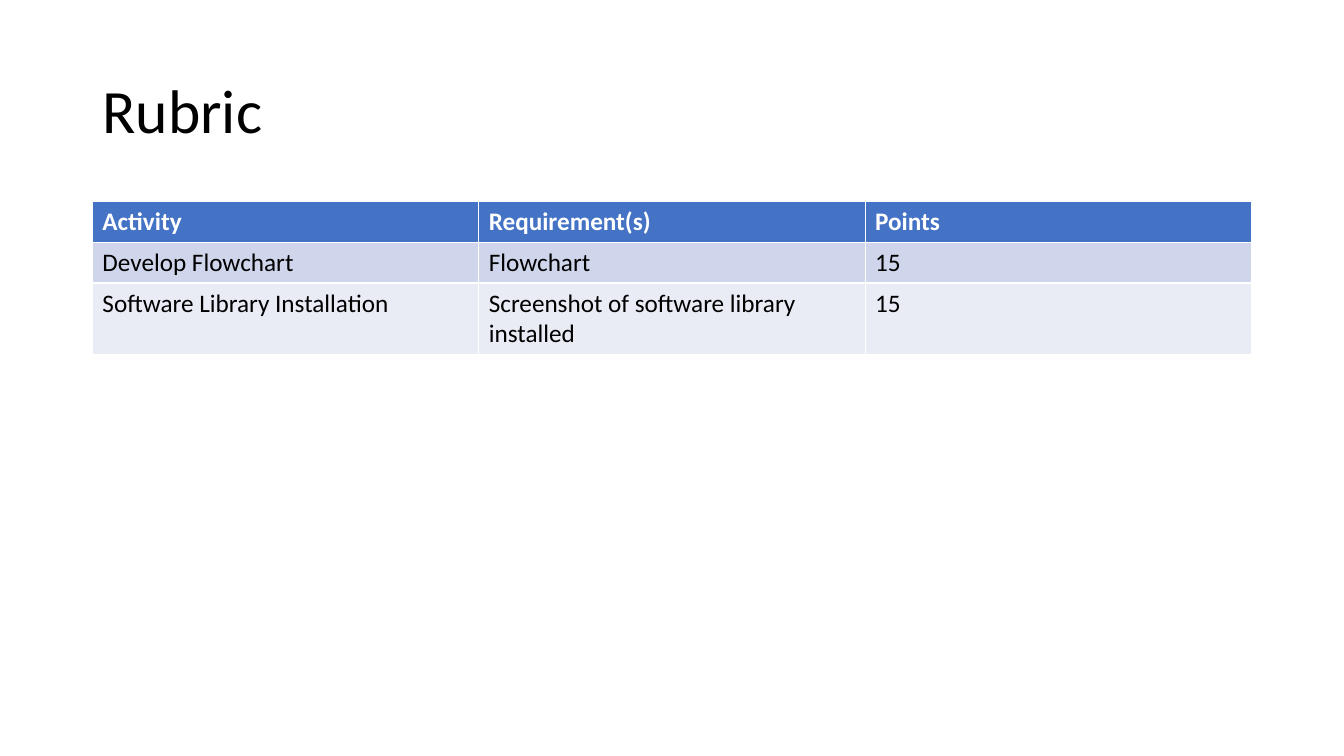
from pptx import Presentation
from pptx.dml.color import RGBColor
from pptx.enum.text import MSO_ANCHOR, MSO_AUTO_SIZE, PP_ALIGN
from pptx.util import Pt

LEFT = PP_ALIGN.LEFT
MIDDLE = MSO_ANCHOR.MIDDLE
NO_FIT = MSO_AUTO_SIZE.NONE
WHITE = RGBColor(0xFF, 0xFF, 0xFF)
BLACK = RGBColor(0x00, 0x00, 0x00)
BLUE = RGBColor(0x44, 0x72, 0xC4)
BANDS = [RGBColor(0xE9, 0xEB, 0xF5), RGBColor(0xCF, 0xD5, 0xEA)]
ROWS = [
    ("Activity", "Requirement(s)", "Points"),
    ("Develop Flowchart", "Flowchart", "15"),
    ("Software Library Installation", "Screenshot of software library installed", "15"),
]


def add_run(para, text, size, color, bold=False):
    run = para.add_run()
    run.text = text
    run.font.name = "Calibri"
    run.font.size = Pt(size)
    run.font.bold = bold
    run.font.color.rgb = color


deck = Presentation()
deck.slide_width, deck.slide_height = Pt(960), Pt(540)
slide = deck.slides.add_slide(deck.slide_layouts[5])

title = slide.shapes.title
title.left, title.top = Pt(66), Pt(28.75)
title.width, title.height = Pt(828), Pt(104.4)
frame = title.text_frame
frame.auto_size = NO_FIT
frame.vertical_anchor = MIDDLE
para = frame.paragraphs[0]
para.alignment = LEFT
para.line_spacing = 0.9
add_run(para, "Rubric", 44, BLACK)

grid = slide.shapes.add_table(
    len(ROWS), len(ROWS[0]), Pt(66), Pt(143.75), Pt(828), Pt(87.6)
).table
for r, row in enumerate(ROWS):
    for c, text in enumerate(row):
        cell = grid.cell(r, c)
        cell.fill.solid()
        cell.fill.fore_color.rgb = BANDS[r % 2] if r else BLUE
        add_run(cell.text_frame.paragraphs[0], text, 18, BLACK if r else WHITE, r == 0)

deck.save("out.pptx")
